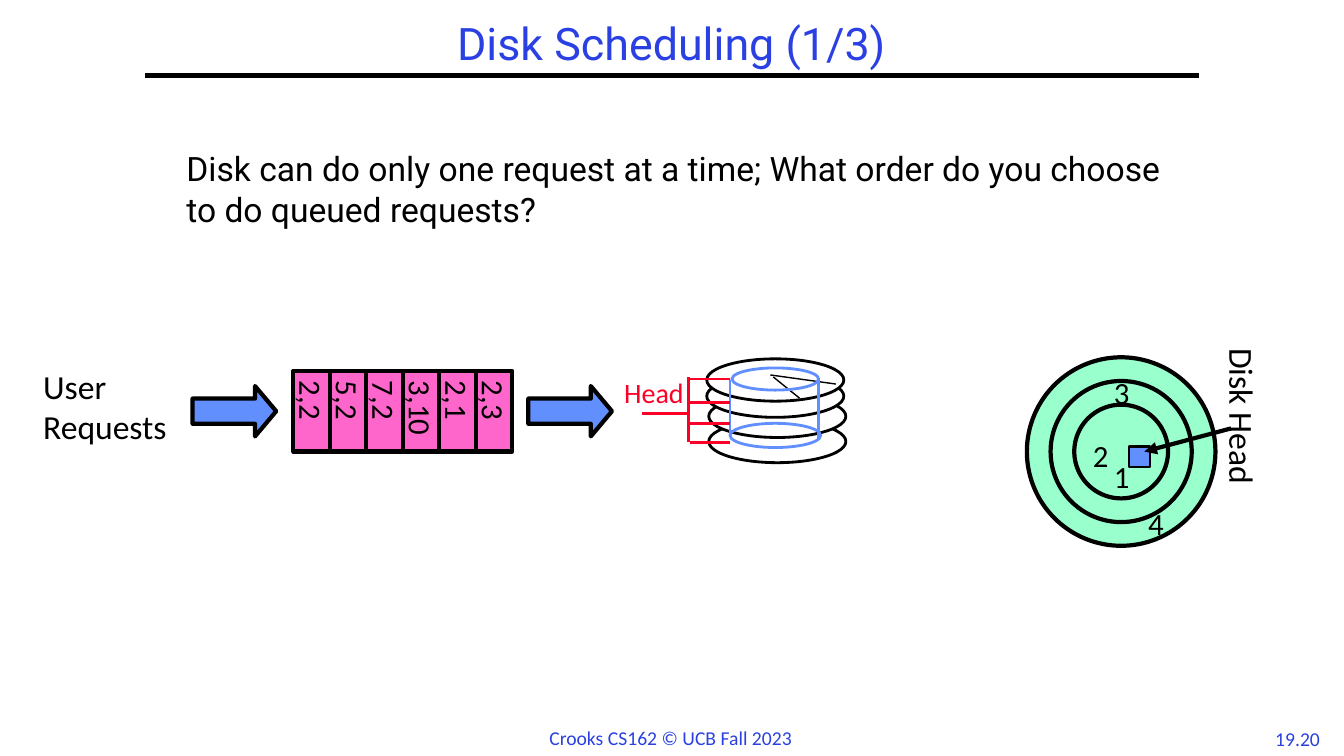
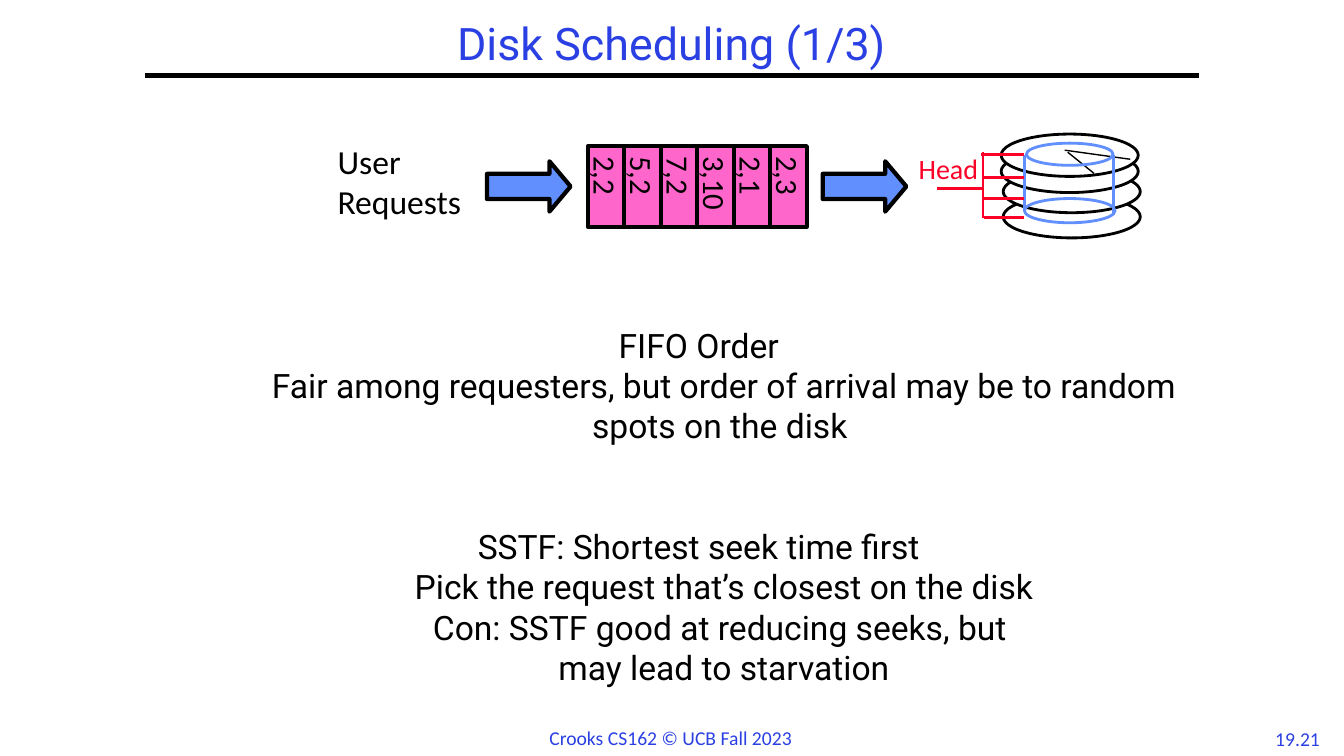
from dataclasses import dataclass
from pptx import Presentation
from pptx.util import Inches, Pt
from pptx.dml.color import RGBColor
from pptx.enum.shapes import MSO_CONNECTOR as Link, MSO_SHAPE as Form
from pptx.enum.text import MSO_ANCHOR as Anchor, MSO_AUTO_SIZE as Fit, PP_ALIGN as Align
from pptx.oxml.ns import qn
from lxml.etree import SubElement


@dataclass(frozen=True)
class Theme:
    black: str = "000000"
    white: str = "FFFFFF"
    navy: str = "2A40E2"
    blue: str = "618FFD"
    pink: str = "FF66CC"
    mint: str = "99FFCC"
    red: str = "FC0128"
    head: str = "Roboto"
    label: str = "Calibri"
    title: int = 32
    body: int = 24
    cell: int = 22
    arm: int = 20
    foot: int = 14


T = Theme()

# Content
TITLE = "Disk Scheduling (1/3)"
FOOTER = "Crooks CS162 © UCB Fall 2023"
QUESTION = "Disk can do only one request at a time; What order do you choose to do queued requests?"
# text, left margin, space before in points
POLICIES = [
    ("FIFO Order", 0, 0),
    ("Fair among requesters, but order of arrival may be to random spots on the disk ", 0.5, 0),
    ("SSTF: Shortest seek time first", 0, 57.5),
    ("Pick the request that’s closest on the disk", 0.5, 0),
    ("Con: SSTF good at reducing seeks, but \nmay lead to starvation", 0.5, 0),
]
SOURCE = ["User", "Requests"]
QUEUE = ["2,2", "5,2", "7,2", "3,10", "2,1", "2,3"]
TRACKS = [("1", 10.95, 4.49), ("4", 11.29, 4.96), ("2", 10.74, 4.28), ("3", 10.95, 3.66)]

# Geometry of the diagrams
PLATES = [(7.03, 4.17), (7.03, 3.92), (7.01, 3.72), (7.01, 3.56)]
SECTOR = [(7.67, 3.74, 7.93, 3.95), (7.64, 3.72, 8.29, 3.81)]
RIMS = [(7.24, 4.2, 0.9, 0.24), (7.26, 3.65, 0.86, 0.22)]
WALLS = [(7.24, 3.77, 7.24, 4.32), (8.12, 3.77, 8.12, 4.36)]
ARMS = [(6.83, 3.74, 6.83, 4.39), (6.81, 3.76, 7.24, 3.76), (6.84, 3.99, 7.24, 3.99),
        (6.84, 4.2, 7.24, 4.2), (6.84, 4.39, 7.24, 4.39), (6.84, 4.1, 6.37, 4.1)]
PITCH = 0.362


# Helpers
def tint(color):
    return RGBColor.from_string(color)


def style(para, size, color, font):
    for run in para.runs:
        run.font.size = Pt(size)
        run.font.name = font
        run.font.color.rgb = tint(color)


def dent(para, left, first=0):
    props = para._p.get_or_add_pPr()
    props.set("marL", str(Inches(left)))
    props.set("indent", str(Inches(first)))


def fill(frame, lines, size, color=T.black, font=T.label, align=Align.LEFT, hang=False):
    for i, line in enumerate(lines):
        para = frame.add_paragraph() if i else frame.paragraphs[0]
        para.text = line
        para.alignment = align
        if hang:
            dent(para, 0.25, -0.25)
        style(para, size, color, font)


def write(box, at, lines, size, wrap=False, **look):
    shape = box.add_textbox(*map(Inches, at))
    frame = shape.text_frame
    frame.word_wrap = wrap
    frame.auto_size = Fit.NONE if wrap else Fit.SHAPE_TO_FIT_TEXT
    fill(frame, lines, size, **look)
    return shape


def draw(box, form, at, color, edge=T.black, width=3):
    shape = box.add_shape(form, *map(Inches, at))
    shape.shadow.inherit = False
    if color:
        shape.fill.solid()
        shape.fill.fore_color.rgb = tint(color)
    else:
        shape.fill.background()
    shape.line.color.rgb = tint(edge)
    shape.line.width = Pt(width)
    return shape


def rule(box, ends, color=T.black, width=3, arrow=False):
    line = box.add_connector(Link.STRAIGHT, *map(Inches, ends))
    line.line.color.rgb = tint(color)
    line.line.width = Pt(width)
    if arrow:
        SubElement(line.line._get_or_add_ln(), qn("a:tailEnd"), type="triangle")
    SubElement(line.element.spPr, qn("a:effectLst"))


# Shared frame of every slide
def start(deck, number):
    slide = deck.slides.add_slide(deck.slide_layouts[6])
    box = slide.shapes
    write(box, (12.53, 7.16, 0.68, 0.33), [number], T.foot, color=T.navy, align=Align.CENTER)
    rule(box, (1.44, 0.75, 11.89, 0.75))
    write(box, (5.35, 7.15, 2.63, 0.34), [FOOTER], T.foot, color=T.navy)
    title = write(box, (1.44, 0.17, 10.44, 0.58), [TITLE], T.title, wrap=True,
                  color=T.navy, font=T.head, align=Align.CENTER).text_frame
    title.vertical_anchor = Anchor.MIDDLE
    title.paragraphs[0].line_spacing = 0.9
    return box


# Requests, queue and disk stack, moved by dx and dy
def flow(shapes, dx=0, dy=0):
    group = shapes.add_group_shape()
    box = group.shapes
    for i, text in reversed(list(enumerate(QUEUE))):
        cell = draw(box, Form.RECTANGLE, (2.91 + i * PITCH, 3.68, PITCH, 0.8), T.pink)
        frame = cell.text_frame
        frame.word_wrap = False
        frame.vertical_anchor = Anchor.MIDDLE
        cell.element.txBody.bodyPr.set("vert", "eaVert")
        fill(frame, [text], T.cell, hang=True)
    for x, y in PLATES:
        draw(box, Form.OVAL, (x, y, 1.36, 0.42), T.white, width=2)
    for ends in SECTOR:
        rule(box, ends, width=1)
    for at in RIMS:
        draw(box, Form.OVAL, at, None, T.blue, 2)
    for ends in WALLS:
        rule(box, ends, T.blue, 2)
    frame = write(box, (6.12, 3.75, 0.81, 0.34), ["Head"], T.arm, color=T.red).text_frame
    frame.margin_left = frame.margin_right = Inches(0.07)
    frame.margin_top = frame.margin_bottom = Inches(0.03)
    frame.paragraphs[0].line_spacing = 0.85
    for ends in ARMS:
        rule(box, ends, T.red, 2)
    for x in (5.24, 1.91):
        arrow = draw(box, Form.RIGHT_ARROW, (x, 3.83, 0.83, 0.5), T.blue)
        arrow.adjustments[1] = 0.42
    write(box, (0.33, 3.58, 1.62, 0.91), SOURCE, T.body, hang=True)
    group.left += Inches(dx)
    group.top += Inches(dy)


# Tracks seen from above
def platter(shapes):
    box = shapes.add_group_shape().shapes
    for size in (1.87, 1.4, 0.93):
        draw(box, Form.OVAL, (11.12 - size / 2, 4.48 - size / 2, size, size), T.mint)
    draw(box, Form.RECTANGLE, (11.2, 4.43, 0.21, 0.2), T.blue, width=1.5)
    for text, x, y in TRACKS:
        write(box, (x, y, 0.37, 0.47), [text], T.cell, hang=True)
    write(box, (11.45, 3.98, 1.75, 0.5), ["Disk Head"], T.body, hang=True).rotation = 90
    rule(box, (12.21, 4.25, 11.35, 4.48), arrow=True)


def main():
    deck = Presentation()
    deck.slide_width, deck.slide_height = Inches(13.33), Inches(7.5)

    # The question
    box = start(deck, "19.20")
    write(box, (1.75, 1.42, 9.92, 5.92), [QUESTION], T.body, wrap=True, font=T.head)
    flow(box)
    platter(box)

    # The policies
    box = start(deck, "19.21")
    body = write(box, (1.97, 3.17, 9.92, 4.5), [text for text, _, _ in POLICIES], T.body,
                 wrap=True, font=T.head, align=Align.CENTER).text_frame
    for para, (_, left, gap) in zip(body.paragraphs, POLICIES):
        dent(para, left)
        para.space_before = Pt(gap)
    flow(box, 2.92, -2.23)

    deck.save("out.pptx")


if __name__ == "__main__":
    main()
